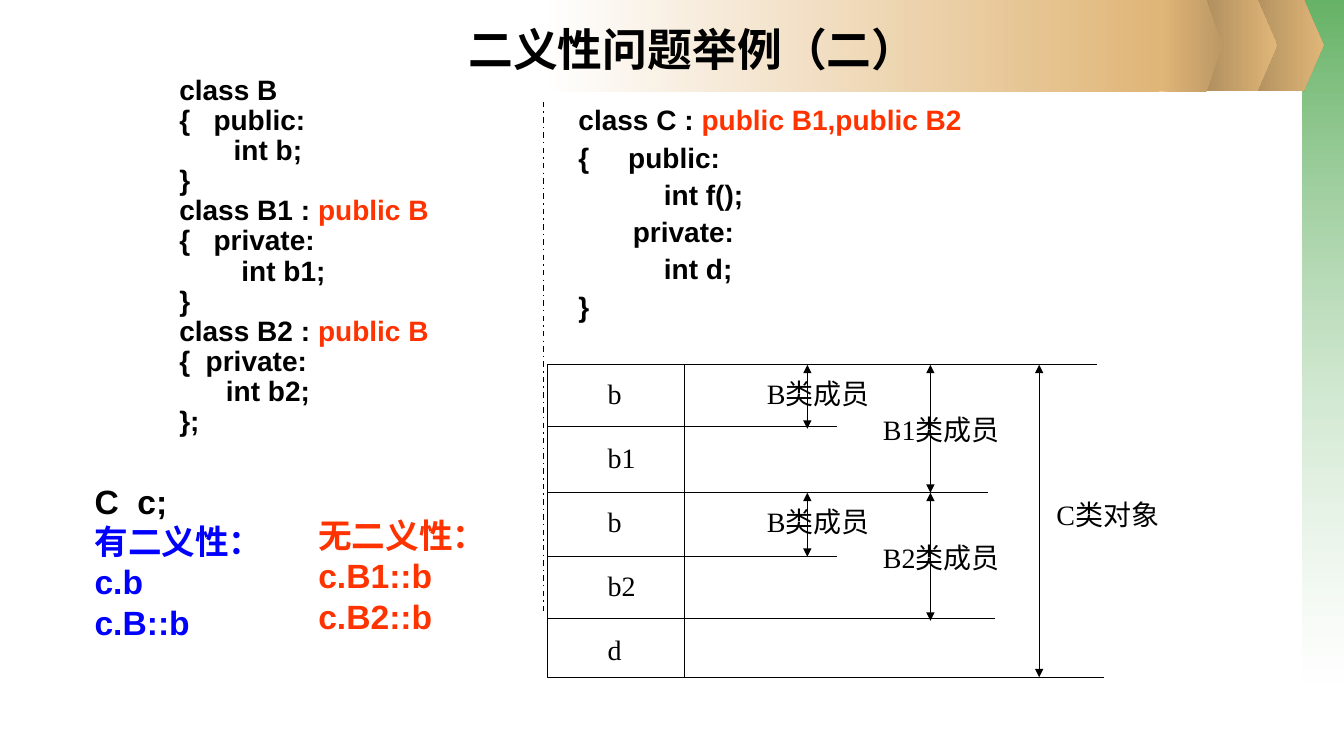
from pptx import Presentation
from pptx.dml.color import RGBColor
from pptx.enum.dml import MSO_LINE
from pptx.enum.shapes import MSO_CONNECTOR, MSO_SHAPE
from pptx.enum.text import MSO_ANCHOR, MSO_AUTO_SIZE, PP_ALIGN
from pptx.oxml.ns import qn
from pptx.util import Pt
from lxml import etree

BLACK = RGBColor(0, 0, 0)
WHITE = RGBColor(255, 255, 255)
RED = RGBColor(0xFF, 0x33, 0x00)
BLUE = RGBColor(0, 0, 0xFF)
GREEN = RGBColor(0x33, 0x99, 0x33)
TAN = RGBColor(0xE0, 0xB6, 0x78)
BROWN = RGBColor(0xAB, 0x8B, 0x5C)
DARK_TAN = RGBColor(0xBD, 0x99, 0x65)

RECT, PENTAGON = MSO_SHAPE.RECTANGLE, MSO_SHAPE.PENTAGON
STRAIGHT, DASH_DOT = MSO_CONNECTOR.STRAIGHT, MSO_LINE.DASH_DOT
TOP, CENTER, NO_FIT = MSO_ANCHOR.TOP, PP_ALIGN.CENTER, MSO_AUTO_SIZE.NONE

CLASSES_B = [
    [("class B", BLACK)],
    [("{   public:", BLACK)],
    [("       int b;", BLACK)],
    [("}", BLACK)],
    [("class B1 : ", BLACK), ("public B", RED)],
    [("{   private:", BLACK)],
    [("        int b1;", BLACK)],
    [("}", BLACK)],
    [("class B2 : ", BLACK), ("public B", RED)],
    [("{  private:", BLACK)],
    [("      int b2;", BLACK)],
    [("};", BLACK)],
]
CLASS_C = [
    [("class C : ", BLACK), ("public B1,public B2", RED)],
    [("{     public:", BLACK)],
    [("           int f();", BLACK)],
    [("       private:", BLACK)],
    [("           int d;", BLACK)],
    [("}", BLACK)],
]
AMBIGUOUS = [[("C  c;", BLACK)], [("有二义性：", BLUE)], [("c.b", BLUE)], [("c.B::b", BLUE)]]
UNAMBIGUOUS = [[("无二义性：", RED)], [("c.B1::b", RED)], [("c.B2::b", RED)]]

MEMBERS = ["b", "b1", "b", "b2", "d"]
TABLE_LEFT, TABLE_TOP, TABLE_BOTTOM = 391, 260.6, 483.8
ROW = 45.7
ROW_LINES = [(304.6, 597.6), (352.1, 705.6), (397.4, 597.6), (442.1, 710.6)]
SPANS = [(576.7, 0, 1), (576.7, 2, 3), (664.6, 0, 2), (664.6, 2, 4)]
SPAN_LABELS = [
    ("B类成员", 540.7, 265.7),
    ("B类成员", 540.7, 357.1),
    ("B1类成员", 623.5, 290.9),
    ("B2类成员", 623.5, 382.3),
    ("C类对象", 747.4, 352.1),
]


def add_gradient(s, kind, box, colors, angle=0, alphas=()):
    """Add a borderless preset shape with a two-colour gradient."""
    sp = s.shapes.add_shape(kind, *map(Pt, box))
    sp.shadow.inherit = False
    sp.line.fill.background()
    if kind == PENTAGON:
        sp.adjustments[0] = 0.25
    sp.fill.gradient()
    sp.fill.gradient_angle = angle
    for position, (stop, color) in enumerate(zip(sp.fill.gradient_stops, colors)):
        stop.position = position
        stop.color.rgb = color
    for clr, alpha in zip(sp._element.spPr.iter(qn("a:srgbClr")), alphas):
        etree.SubElement(clr, qn("a:alpha"), val=str(alpha * 1000))


def add_line(s, x1, y1, x2, y2, width=0.75, arrows=False):
    """Add a black straight line, optionally with arrowheads at both ends."""
    line = s.shapes.add_connector(STRAIGHT, Pt(x1), Pt(y1), Pt(x2), Pt(y2))
    line.line.color.rgb = BLACK
    line.line.width = Pt(width)
    if arrows:
        for tag in ("a:headEnd", "a:tailEnd"):
            etree.SubElement(line.line._get_or_add_ln(), qn(tag), type="triangle")
    etree.SubElement(line._element.spPr, qn("a:effectLst"))
    return line


def add_text(s, box, lines, size=20, font="Arial", bold=True, spacing=1.0, before=0, wrap=True):
    """Add a text box whose lines are lists of coloured runs."""
    tf = s.shapes.add_textbox(*map(Pt, box)).text_frame
    tf.word_wrap = wrap
    for i, runs in enumerate(lines):
        p = tf.add_paragraph() if i else tf.paragraphs[0]
        p.line_spacing = spacing
        p.space_before = Pt(before if i else 0)
        for text, color in runs:
            r = p.add_run()
            r.text = text
            r.font.size, r.font.name, r.font.bold = Pt(size), font, bold
            r.font.color.rgb = color


def add_label(s, text, x, y):
    """Add a one-line diagram label."""
    add_text(s, (x, y, 110, 31.5), [[(text, BLACK)]], font="Times New Roman", bold=False, wrap=False)


def add_decoration(s):
    """Add the green side band and the tan header arrows."""
    add_gradient(s, RECT, (930.2, 0, 29.8, 487.4), (GREEN, WHITE), 270, (75, 37))
    for x in (888.5, 855.4):
        add_gradient(s, PENTAGON, (x, -0.5, 56.9, 65.5), (BROWN, TAN))
    add_gradient(s, RECT, (385.9, 0, 442.1, 65.5), (WHITE, TAN))
    add_gradient(s, PENTAGON, (828, 0, 44.6, 65.5), (TAN, DARK_TAN))


def format_title(s, text):
    """Fill the title placeholder and bring it in front of the header."""
    title = s.shapes.title
    s.shapes._spTree.append(title._element)
    title.left, title.top, title.width, title.height = map(Pt, (203.8, 12.2, 581.8, 90))
    tf = title.text_frame
    tf.text = text
    tf.auto_size = NO_FIT
    tf.vertical_anchor = TOP
    p = tf.paragraphs[0]
    p.alignment = CENTER
    font = p.runs[0].font
    font.size, font.name, font.bold = Pt(32), "Arial", True
    font.color.rgb = BLACK


def add_layout_diagram(s):
    """Draw the member layout of an object of class C."""
    outline = s.shapes.build_freeform(Pt(783.4), Pt(TABLE_TOP))
    corners = [(TABLE_LEFT, TABLE_TOP), (TABLE_LEFT, TABLE_BOTTOM), (788.4, TABLE_BOTTOM)]
    outline.add_line_segments([(Pt(x), Pt(y)) for x, y in corners], close=False)
    sp = outline.convert_to_shape()
    sp.shadow.inherit = False
    sp.fill.background()
    sp.line.color.rgb = BLACK
    sp.line.width = Pt(0.75)
    add_line(s, 488.9, TABLE_TOP, 488.9, TABLE_BOTTOM)
    for y, right in ROW_LINES:
        add_line(s, TABLE_LEFT, y, right, y)
    for i, member in enumerate(MEMBERS):
        add_label(s, member, 427, 265.7 + i * ROW)
    for x, first, last in SPANS:
        add_line(s, x, TABLE_TOP + first * ROW, x, TABLE_TOP + last * ROW, arrows=True)
    add_line(s, 742.3, TABLE_TOP, 742.3, TABLE_BOTTOM, arrows=True)
    for text, x, y in SPAN_LABELS:
        add_label(s, text, x, y)


def main():
    """Build the slide and save it."""
    prs = Presentation()
    prs.slide_width, prs.slide_height = Pt(960), Pt(540)
    s = prs.slides.add_slide(prs.slide_layouts[5])
    add_decoration(s)
    format_title(s, "二义性问题举例（二）")
    add_text(s, (121, 54.7, 264.2, 321.1), CLASSES_B, spacing=0.7, before=4.7)
    add_text(s, (406.1, 72.7, 354.2, 169.2), CLASS_C, spacing=0.9, before=5)
    add_line(s, 388.1, 72.7, 388.1, 438.5, width=1).line.dash_style = DASH_DOT
    add_layout_diagram(s)
    add_text(s, (60.5, 339.8, 155.5, 144), AMBIGUOUS, size=24)
    add_text(s, (220.3, 364.3, 134.6, 94.3), UNAMBIGUOUS, size=24)
    prs.save("out.pptx")


if __name__ == "__main__":
    main()
